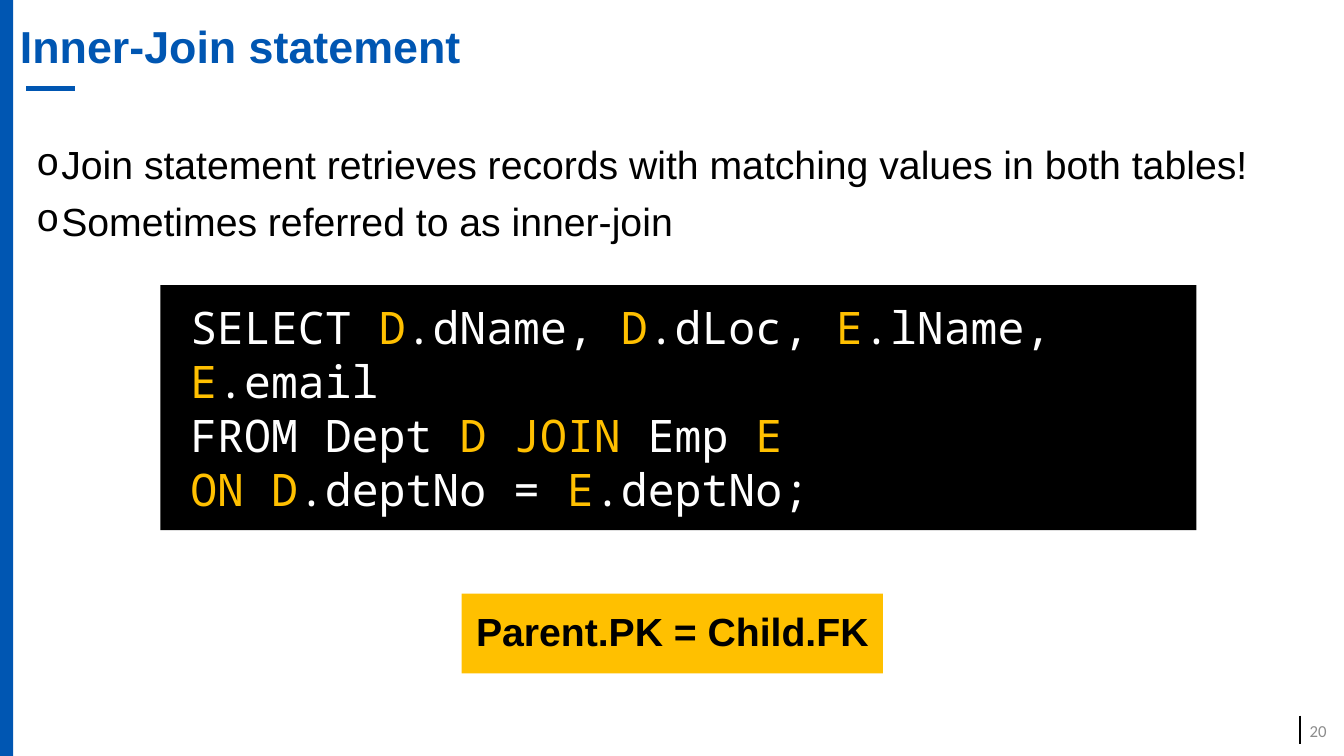
from pptx import Presentation
from pptx.dml.color import RGBColor
from pptx.enum.shapes import MSO_CONNECTOR, MSO_SHAPE
from pptx.enum.text import MSO_ANCHOR, PP_ALIGN
from pptx.oxml.ns import qn
from pptx.util import Inches, Pt
from lxml.etree import SubElement

# Content: each paragraph is a list of (text, colour) runs
HUES = {"blue": "0056B2", "gold": "FFC000", "black": "000000",
        "white": "FFFFFF", "gray": "8C8C8C"}
TITLE = "Inner-Join statement"
POINTS = ["Join statement retrieves records with matching values in both tables!",
          "Sometimes referred to as inner-join"]
# White and gold pieces take turns, white first
QUERY = [["SELECT ", "D", ".dName, ", "D", ".dLoc, ", "E", ".lName, ", "E", ".email"],
         ["FROM Dept ", "D JOIN", " Emp ", "E"],
         ["", "ON D", ".deptNo = ", "E", ".deptNo;"]]
RULE = "Parent.PK = Child.FK"
PAGE = "20"

# Formats
HIGH = 7.5
WIDE = HIGH * 16 / 9
SANS, MONO, MARK = "Arial", "Noto Sans Mono", "Courier New"
LOOSE = {"line_spacing": 0.9, "space_before": Pt(10)}
HEAD = {"name": SANS, "size": Pt(32), "bold": True}
BODY = {"name": SANS, "size": Pt(28)}
CODE = {"name": MONO, "size": Pt(32)}
NOTE = {"name": SANS, "size": Pt(28), "bold": True}
FOOT = {"name": "Calibri", "size": Pt(12)}


def rgb(hue):
    return RGBColor.from_string(HUES[hue])


def put(item, values):
    for key, value in values.items():
        setattr(item, key, value)


def bar(slide, box, hue):
    shape = slide.shapes.add_shape(MSO_SHAPE.RECTANGLE, *map(Inches, box))
    shape.shadow.inherit = False
    shape.fill.solid()
    shape.fill.fore_color.rgb = rgb(hue)
    shape.line.fill.background()
    return shape


def rule(slide, ends, hue, width):
    line = slide.shapes.add_connector(MSO_CONNECTOR.STRAIGHT, *map(Inches, ends))
    line.line.color.rgb = rgb(hue)
    line.line.width = Pt(width)
    SubElement(line._element.spPr, qn("a:effectLst"))


def write(shape, paras, font, layout, anchor=MSO_ANCHOR.MIDDLE, left=0, hang=0):
    frame = shape.text_frame
    put(frame, {"word_wrap": True, "vertical_anchor": anchor})
    for n, runs in enumerate(paras):
        para = frame.add_paragraph() if n else frame.paragraphs[0]
        put(para, {"alignment": PP_ALIGN.LEFT, **layout})
        props = para._p.get_or_add_pPr()
        props.set("marL", str(Inches(left)))
        props.set("indent", str(Inches(-hang)))
        if hang:
            SubElement(props, qn("a:buFont"), typeface=MARK)
            SubElement(props, qn("a:buChar"), char="o")
        for text, hue in runs:
            run = para.add_run()
            run.text = text
            put(run.font, font)
            run.font.color.rgb = rgb(hue)


def label(slide, box, *args, **more):
    write(slide.shapes.add_textbox(*map(Inches, box)), *args, **more)


def main():
    deck = Presentation()
    put(deck, {"slide_width": Inches(WIDE), "slide_height": Inches(HIGH)})
    slide = deck.slides.add_slide(deck.slide_layouts[6])

    # Side band and rules
    bar(slide, (0, 0, 0.13, HIGH), "blue")
    rule(slide, (12.9, 7.1, 12.9, 7.38), "black", 1.5)
    rule(slide, (0.26, 0.88, 0.74, 0.88), "blue", 4)

    # Title and points
    label(slide, (0.1, 0.05, 12.94, 0.88), [[(TITLE, "blue")]], HEAD,
          {"line_spacing": 0.9})
    label(slide, (0.26, 1.4, 12.58, 1.09), [[(p, "black")] for p in POINTS],
          BODY, LOOSE, anchor=MSO_ANCHOR.TOP, left=0.25, hang=0.25)

    # Query panel
    lines = [[(text, ("white", "gold")[n % 2]) for n, text in enumerate(row) if text]
             for row in QUERY]
    write(bar(slide, (1.59, 2.83, 10.28, 2.43), "black"), lines, CODE, {}, left=0.2)

    # Key rule and page number
    write(bar(slide, (4.58, 5.89, 4.18, 0.79), "gold"), [[(RULE, "black")]],
          NOTE, {**LOOSE, "alignment": PP_ALIGN.CENTER})
    label(slide, (12.84, 7.05, 0.42, 0.4), [[(PAGE, "gray")]], FOOT,
          {"alignment": PP_ALIGN.RIGHT})

    deck.save("out.pptx")


if __name__ == "__main__":
    main()
